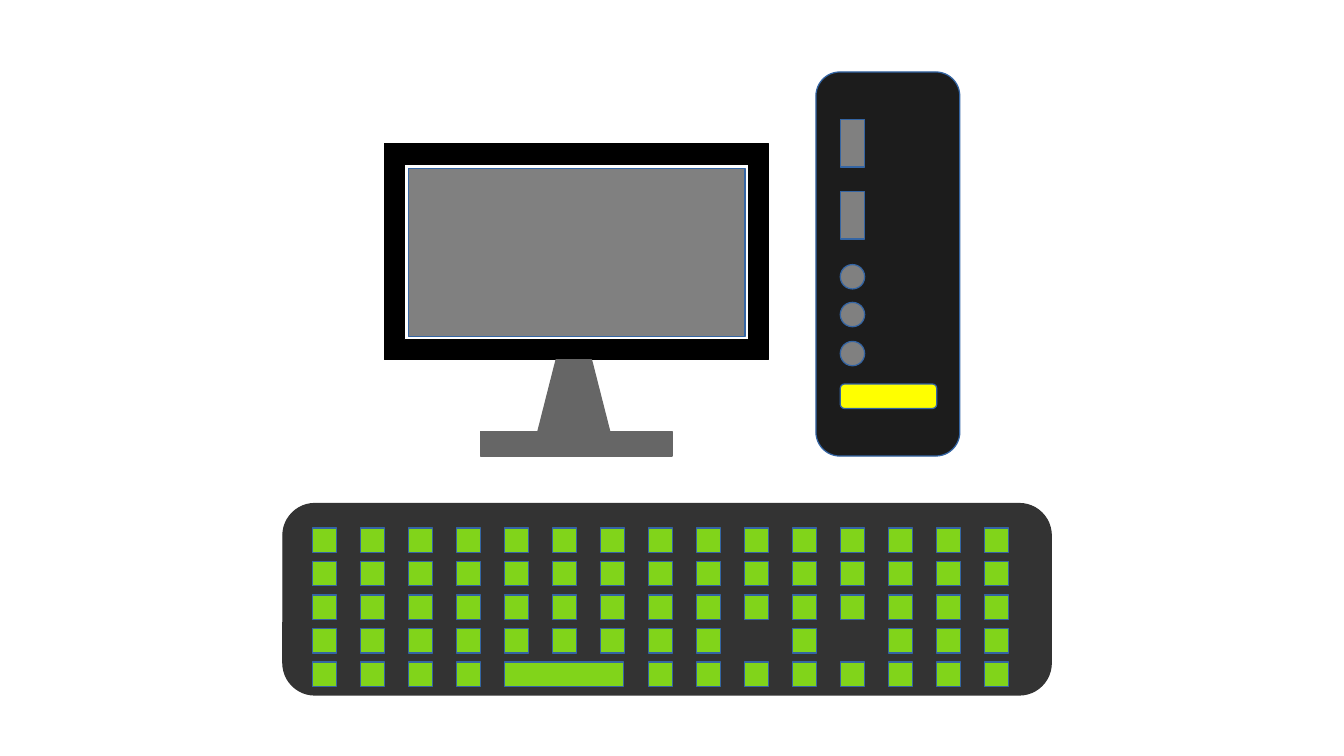
from dataclasses import dataclass
from typing import Optional

from pptx import Presentation
from pptx.dml.color import RGBColor
from pptx.enum import shapes as s
from pptx.util import Inches

BLACK = RGBColor(0x00, 0x00, 0x00)
TOWER_BLACK = RGBColor(0x1C, 0x1C, 0x1C)
KEYBOARD_GRAY = RGBColor(0x33, 0x33, 0x33)
STAND_GRAY = RGBColor(0x66, 0x66, 0x66)
LIGHT_GRAY = RGBColor(0x80, 0x80, 0x80)
YELLOW = RGBColor(0xFF, 0xFF, 0x00)
KEY_GREEN = RGBColor(0x81, 0xD4, 0x1A)
OUTLINE_BLUE = RGBColor(0x34, 0x65, 0xA4)

RECT = s.MSO_SHAPE.RECTANGLE
ROUNDED = s.MSO_SHAPE.ROUNDED_RECTANGLE
FRAME = s.MSO_SHAPE.FRAME
OVAL = s.MSO_SHAPE.OVAL

KEY_SIZE = 0.2
KEY_LEFT, KEY_TOP = 2.56, 4.33
COLUMNS, ROWS = 15, 5
COLUMN_PITCH = 5.51 / (COLUMNS - 1)
ROW_PITCH = 1.1 / (ROWS - 1)
SPACE_BAR = (4, 4)  # column, row
SPACE_BAR_WIDTH = 0.98
EMPTY_PLACES = {(9, 3), (11, 3), (5, 4), (6, 4)}


@dataclass(frozen=True)
class Part:
    kind: s.MSO_SHAPE
    left: float
    top: float
    width: float
    height: float
    fill: RGBColor
    line: RGBColor = OUTLINE_BLUE
    adjustment: Optional[float] = None


def paint(shape, fill: RGBColor, line: RGBColor) -> None:
    """Give a shape a solid fill and a hairline outline, without shadow."""
    shape.shadow.inherit = False
    shape.fill.solid()
    shape.fill.fore_color.rgb = fill
    shape.line.color.rgb = line
    shape.line.width = 0


def draw_part(slide, part: Part) -> None:
    shape = slide.shapes.add_shape(
        part.kind, Inches(part.left), Inches(part.top),
        Inches(part.width), Inches(part.height))
    if part.adjustment is not None:
        shape.adjustments[0] = part.adjustment
    paint(shape, part.fill, part.line)


def draw_stand_neck(slide) -> None:
    corners = [(Inches(x), Inches(y)) for x, y in
               [(5, 3.54), (4.41, 3.54), (4.56, 2.95), (4.85, 2.95)]]
    builder = slide.shapes.build_freeform(*corners[0])
    builder.add_line_segments(corners[1:], close=True)
    paint(builder.convert_to_shape(), STAND_GRAY, STAND_GRAY)


def keyboard_keys() -> list[Part]:
    return [
        Part(RECT, KEY_LEFT + column * COLUMN_PITCH, KEY_TOP + row * ROW_PITCH,
             SPACE_BAR_WIDTH if (column, row) == SPACE_BAR else KEY_SIZE,
             KEY_SIZE, KEY_GREEN)
        for row in range(ROWS) for column in range(COLUMNS)
        if (column, row) not in EMPTY_PLACES
    ]


MONITOR = [
    Part(RECT, 3.35, 1.38, 2.76, 1.38, LIGHT_GRAY),
    Part(FRAME, 3.15, 1.18, 3.15, 1.77, BLACK, BLACK, 0.093),
]
STAND_BASE = Part(RECT, 3.94, 3.54, 1.57, 0.2, STAND_GRAY, STAND_GRAY)
KEYBOARD = Part(ROUNDED, 2.32, 4.13, 6.3, 1.57, KEYBOARD_GRAY, KEYBOARD_GRAY, 0.167)
TOWER = [
    Part(ROUNDED, 6.69, 0.59, 1.18, 3.15, TOWER_BLACK, adjustment=0.167),
    *(Part(RECT, 6.89, top, 0.2, 0.39, LIGHT_GRAY) for top in (0.98, 1.57)),
    *(Part(OVAL, 6.89, top, 0.2, 0.2, LIGHT_GRAY) for top in (2.17, 2.48, 2.8)),
    Part(ROUNDED, 6.89, 3.15, 0.79, 0.2, YELLOW, adjustment=0.167),
]


def main() -> None:
    deck = Presentation()
    deck.slide_width, deck.slide_height = Inches(11.02), Inches(6.2)
    slide = deck.slides.add_slide(deck.slide_layouts[6])
    for part in MONITOR:
        draw_part(slide, part)
    draw_stand_neck(slide)
    for part in [STAND_BASE, KEYBOARD, *TOWER, *keyboard_keys()]:
        draw_part(slide, part)
    deck.save("out.pptx")


if __name__ == "__main__":
    main()
